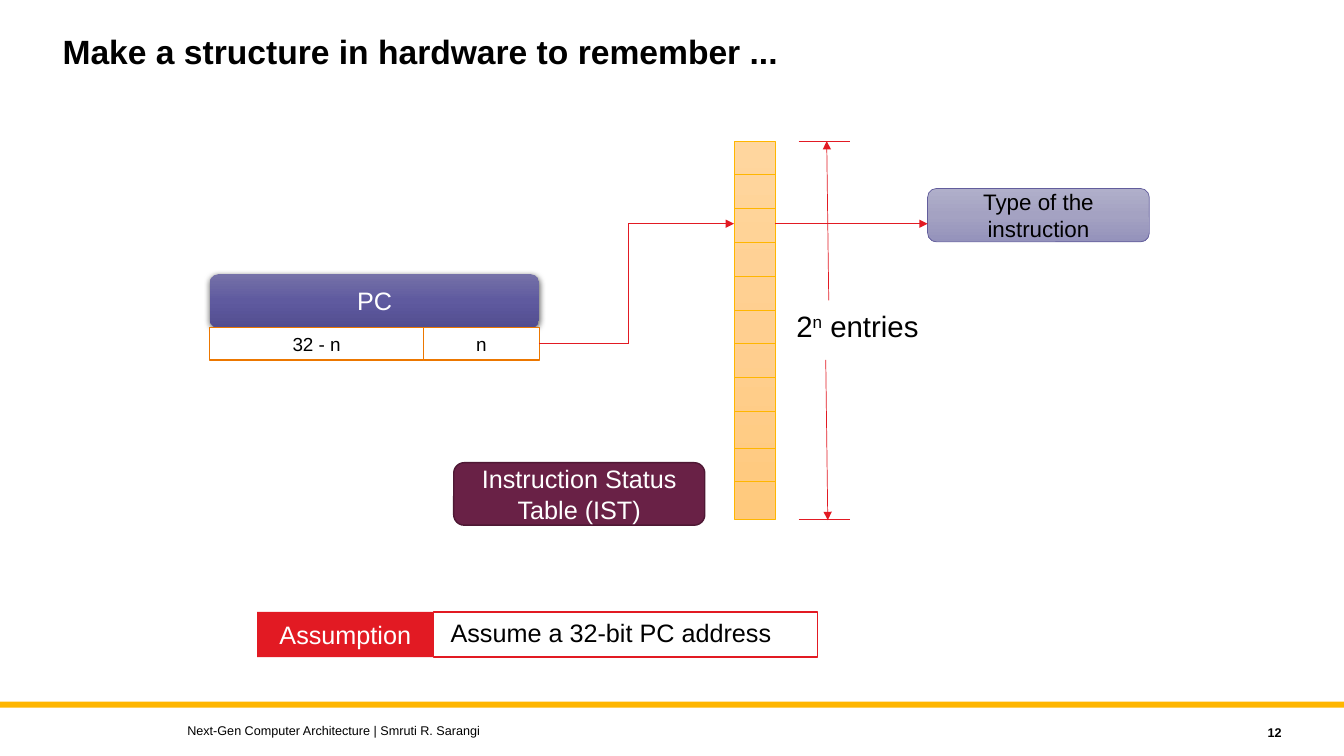
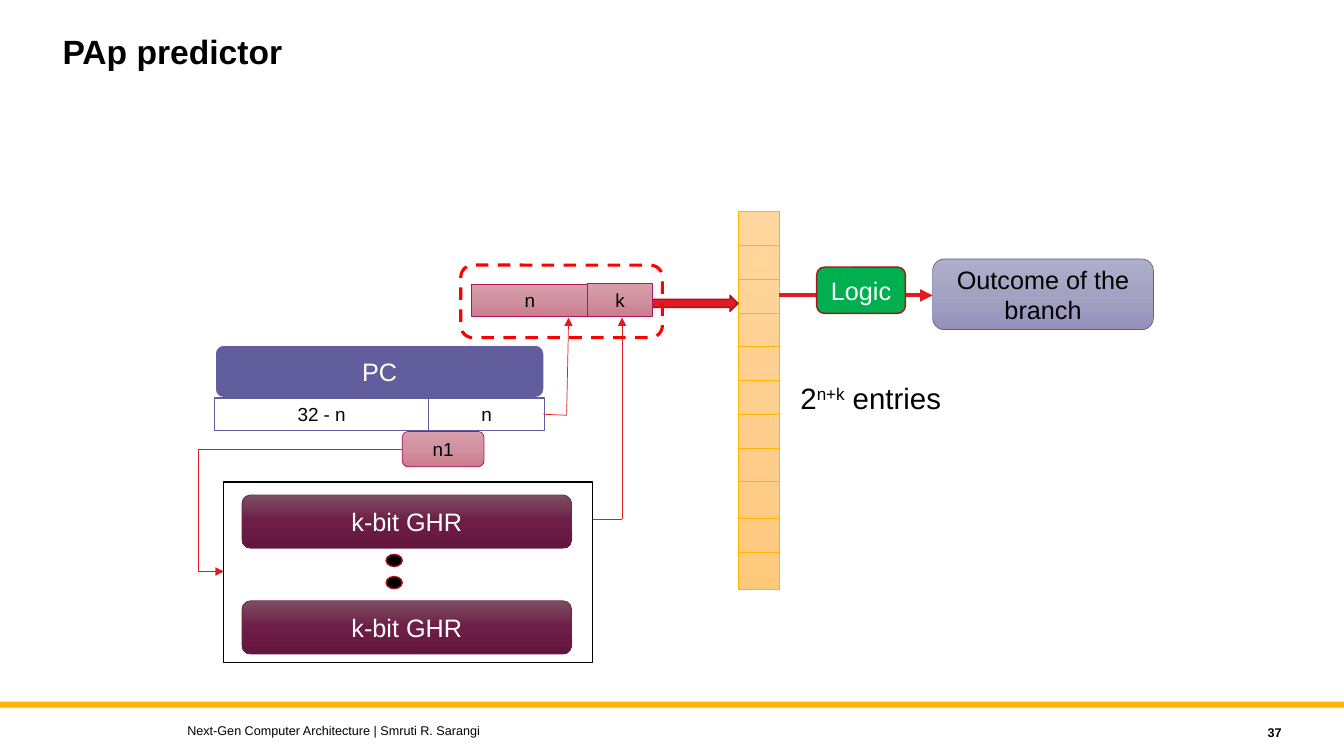
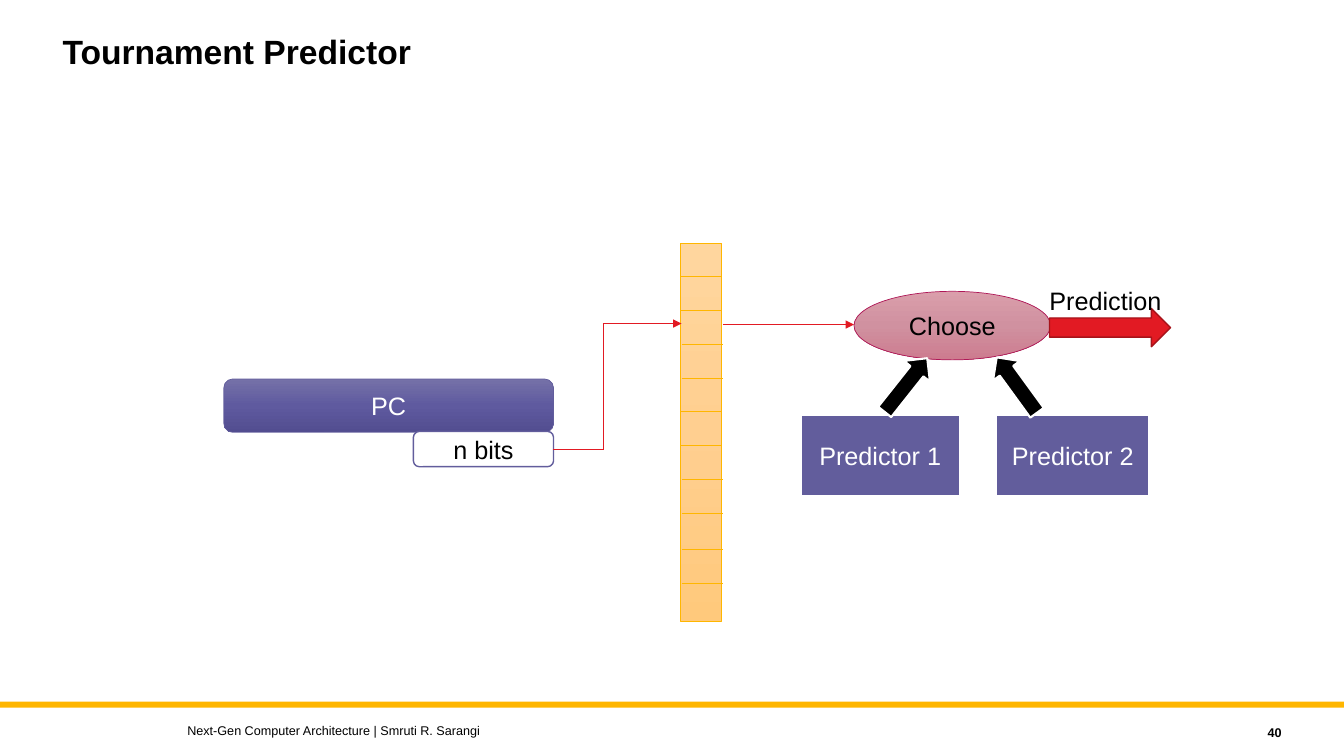
from lxml import etree
from pptx import Presentation
from pptx.dml.color import RGBColor
from pptx.enum.dml import MSO_LINE
from pptx.enum.shapes import MSO_CONNECTOR, MSO_SHAPE
from pptx.enum.text import MSO_ANCHOR, MSO_AUTO_SIZE, PP_ALIGN
from pptx.oxml.ns import qn
from pptx.util import Inches, Pt

RECT, ROUND, OVAL = MSO_SHAPE.RECTANGLE, MSO_SHAPE.ROUNDED_RECTANGLE, MSO_SHAPE.OVAL
RIGHT_ARROW, DOWN_ARROW = MSO_SHAPE.RIGHT_ARROW, MSO_SHAPE.DOWN_ARROW
STRAIGHT, ELBOW = MSO_CONNECTOR.STRAIGHT, MSO_CONNECTOR.ELBOW
TOP, MIDDLE = MSO_ANCHOR.TOP, MSO_ANCHOR.MIDDLE
LEFT, CENTER, RIGHT = PP_ALIGN.LEFT, PP_ALIGN.CENTER, PP_ALIGN.RIGHT
NO_FIT, GROW_TO_TEXT = MSO_AUTO_SIZE.NONE, MSO_AUTO_SIZE.SHAPE_TO_FIT_TEXT
DASH = MSO_LINE.DASH

COLORS = {
    "black": "000000", "white": "FFFFFF", "gold": "FFB600", "orange": "EC7700",
    "red": "E21A23", "dark red": "A7131A", "bright red": "FF0000",
    "violet": "625D9C", "plum": "692146", "dark plum": "4E1834",
    "pink": "AF1858", "green": "00B050",
}
GRADIENTS = {
    "violet shade": ("7571A8", "5F5A9F", "524D90"),
    "lilac shade": ("B0AFCA", "A4A2C2", "9492BB"),
    "amber shade": ("FFD69E", "FFCF90", "FFC97C"),
    "plum shade": ("7C4F62", "6D1D46", "64173E"),
    "pink shade": ("DA9EAB", "D091A0", "CD7C8F"),
}
# Looks shared by boxes: fill, line, line width, text colour
LOOKS = {
    "pc": {"fill": "violet shade", "color": "white"},
    "outlined pc": {"fill": "violet shade", "line": "violet", "width": 0.5, "color": "white"},
    "solid violet": {"fill": "violet", "line": "white", "width": 1.5, "color": "white"},
    "orange field": {"fill": "white", "line": "orange"},
    "violet field": {"fill": "white", "line": "violet"},
    "result": {"fill": "lilac shade", "line": "violet", "width": 0.5},
    "table": {"fill": "amber shade", "line": "gold", "width": 0.5},
    "table name": {"fill": "plum", "line": "dark plum", "color": "white"},
    "history": {"fill": "plum shade", "line": "plum", "width": 0.5, "color": "white"},
    "pink": {"fill": "pink shade", "line": "pink", "width": 0.5},
    "logic": {"fill": "green", "line": "dark red", "color": "white"},
    "dot": {"fill": "black", "line": "dark red"},
    "red arrow": {"fill": "red", "line": "dark red"},
    "black arrow": {"fill": "black", "line": "white", "width": 1.5},
    "red label": {"fill": "red", "color": "white"},
    "red frame": {"fill": "white", "line": "red"},
    "black frame": {"line": "black"},
    "dashed frame": {"line": "bright red", "width": 2.25, "dash": DASH},
    "band": {"fill": "gold"},
}
FOOTER = "Next-Gen Computer Architecture | Smruti R. Sarangi"
FIELD_SIZE = 13.5
TABLE_WIDTH, TABLE_HEIGHT = 0.41, 3.75


def rgb(name):
    return RGBColor.from_string(COLORS[name])


class Deck:
    def __init__(self):
        self.presentation = Presentation()
        self.presentation.slide_width = Inches(13.33)
        self.presentation.slide_height = Inches(7.5)
        self.slide = None

    # Slide with title, band and footer
    def new_slide(self, title, number):
        layout = self.presentation.slide_layouts[5]
        self.slide = self.presentation.slides.add_slide(layout)
        self.box(RECT, 0, 6.96, 13.33, 0.06, "band")
        heading = self.slide.shapes.title
        heading.left, heading.top = Inches(0.52), Inches(0.3)
        heading.width, heading.height = Inches(10), Inches(0.9)
        self.fill_text(heading, title, size=24, bold=True, align=LEFT, anchor=TOP)
        heading.text_frame.auto_size = NO_FIT
        heading.text_frame.paragraphs[0].line_spacing = 0.9
        self.text(1.76, 7.12, 8, 0.25, FOOTER, size=9, anchor=MIDDLE)
        self.text(11.41, 7.14, 1.4, 0.25, number, size=9, bold=True,
                  align=RIGHT, anchor=MIDDLE)

    # Text: a string, or a list of (string, is superscript) pairs
    def fill_text(self, shape, content, size=18, color="black", bold=False,
                  align=CENTER, anchor=MIDDLE, wrap=True):
        frame = shape.text_frame
        frame.word_wrap = wrap
        frame.vertical_anchor = anchor
        paragraph = frame.paragraphs[0]
        paragraph.alignment = align
        pieces = [(content, False)] if isinstance(content, str) else content
        font_format = {"name": "Arial", "size": Pt(size), "bold": bold}
        for words, raised in pieces:
            run = paragraph.add_run()
            run.text = words
            for key, value in font_format.items():
                setattr(run.font, key, value)
            run.font.color.rgb = rgb(color)
            if raised:
                run._r.get_or_add_rPr().set("baseline", "30000")

    def text(self, left, top, width, height, content, size=18, bold=False,
             align=LEFT, anchor=TOP, grow=False):
        shape = self.slide.shapes.add_textbox(
            Inches(left), Inches(top), Inches(width), Inches(height))
        self.fill_text(shape, content, size, "black", bold, align, anchor, wrap=not grow)
        if grow:
            shape.text_frame.auto_size = GROW_TO_TEXT

    # Preset shape in one of the shared looks
    def box(self, kind, left, top, width, height, look, content=None, size=18, rotation=0):
        style = LOOKS[look]
        shape = self.slide.shapes.add_shape(
            kind, Inches(left), Inches(top), Inches(width), Inches(height))
        shape.shadow.inherit = False
        shape.rotation = rotation
        fill = style.get("fill")
        if fill in GRADIENTS:
            self.shade(shape, GRADIENTS[fill])
        elif fill:
            shape.fill.solid()
            shape.fill.fore_color.rgb = rgb(fill)
        else:
            shape.fill.background()
        if "line" in style:
            shape.line.color.rgb = rgb(style["line"])
            shape.line.width = Pt(style.get("width", 1))
            if "dash" in style:
                shape.line.dash_style = style["dash"]
        else:
            shape.line.fill.background()
        if content:
            self.fill_text(shape, content, size, style.get("color", "black"))
        return shape

    def shade(self, shape, colors):
        shape.fill.gradient()
        shape.fill.gradient_angle = 270
        stops = shape._element.spPr.find(qn("a:gradFill")).find(qn("a:gsLst"))
        for stop in list(stops):
            stops.remove(stop)
        for index, color in enumerate(colors):
            stop = etree.SubElement(stops, qn("a:gs"), pos=str(index * 50000))
            etree.SubElement(stop, qn("a:srgbClr"), val=color)

    def soft_shadow(self, shape):
        effects = shape._element.spPr.find(qn("a:effectLst"))
        shadow = etree.SubElement(effects, qn("a:outerShdw"), blurRad=str(Pt(4.5)),
                                  dist=str(Pt(1.5)), dir="5400000", rotWithShape="0")
        color = etree.SubElement(shadow, qn("a:srgbClr"), val=COLORS["black"])
        etree.SubElement(color, qn("a:alpha"), val="63000")

    # Lines and arrows
    def line(self, start, end, color="red", width=0.5, arrow=False, kind=STRAIGHT, bend=None):
        connector = self.slide.shapes.add_connector(
            kind, *(Inches(value) for value in (*start, *end)))
        connector.line.color.rgb = rgb(color)
        connector.line.width = Pt(width)
        properties = connector._element.spPr
        if arrow:
            etree.SubElement(properties.find(qn("a:ln")), qn("a:tailEnd"), type="triangle")
        if bend is not None:
            geometry = properties.find(qn("a:prstGeom"))
            guides = geometry.find(qn("a:avLst"))
            if guides is None:
                guides = etree.SubElement(geometry, qn("a:avLst"))
            etree.SubElement(guides, qn("a:gd"), name="adj1",
                             fmla=f"val {round(bend * 100000)}")
        etree.SubElement(properties, qn("a:effectLst"))

    def route(self, *points):
        last = len(points) - 1
        for index in range(last):
            self.line(points[index], points[index + 1], arrow=index == last - 1)

    # Tall table of entries; the rows after the eighth sit slightly lower
    def entry_table(self, left, top):
        self.box(RECT, left, top, TABLE_WIDTH, TABLE_HEIGHT, "table")
        for row in range(1, 11):
            y = top + row * 0.335 + (0.03 if row > 8 else 0)
            x = left + (0 if row in (1, 2, 5, 6) else 0.01)
            self.line((x, y), (x + TABLE_WIDTH, y), "gold")

    # Program counter with its two bit fields
    def counter(self, left, top, look, field_look):
        shape = self.box(ROUND, left, top, 3.27, 0.53, look, "PC")
        self.box(RECT, left, top + 0.53, 2.12, 0.32, field_look, "32 - n", FIELD_SIZE)
        self.box(RECT, left + 2.12, top + 0.53, 1.15, 0.32, field_look, "n", FIELD_SIZE)
        return shape


def status_table_slide(deck):
    deck.new_slide("Make a structure in hardware to remember ...", "12")
    deck.soft_shadow(deck.counter(2.08, 2.72, "pc", "orange field"))
    deck.entry_table(7.28, 1.4)
    deck.box(ROUND, 4.5, 4.59, 2.49, 0.62, "table name", "Instruction Status Table (IST)")
    # Lookup and result
    deck.route((5.35, 3.41), (6.23, 3.41), (6.23, 2.22), (7.28, 2.22))
    deck.box(ROUND, 9.2, 1.87, 2.2, 0.53, "result", "Type of the instruction", 16)
    deck.route((7.69, 2.22), (9.2, 2.22))
    # Height of the table
    for y in (1.4, 5.15):
        deck.line((7.92, y), (8.43, y))
    deck.route((8.22, 2.98), (8.2, 1.4))
    deck.route((8.19, 3.57), (8.21, 5.16))
    deck.text(7.8, 3.01, 1.44, 0.45, [("2", False), ("n", True), (" entries", False)],
              21, grow=True)
    # Assumption
    deck.box(RECT, 4.3, 6.07, 3.81, 0.45, "red frame")
    deck.text(4.37, 6.08, 3.41, 0.4, "Assume a 32-bit PC address", grow=True)
    deck.box(RECT, 2.55, 6.07, 1.75, 0.45, "red label", "Assumption")


def pap_slide(deck):
    deck.new_slide("PAp predictor", "37")
    deck.counter(2.13, 3.42, "solid violet", "violet field")
    deck.entry_table(7.32, 2.1)
    deck.text(7.84, 3.72, 1.65, 0.45, [("2", False), ("n+k", True), (" entries", False)],
              21, grow=True)
    # Outcome
    deck.box(ROUND, 9.25, 2.57, 2.19, 0.7, "result", "Outcome of the branch")
    deck.line((7.73, 2.93), (9.25, 2.93), width=3, arrow=True)
    deck.box(ROUND, 8.1, 2.65, 0.88, 0.46, "logic", "Logic")
    # History registers
    for top in (4.91, 5.96):
        deck.box(ROUND, 2.4, top, 3.27, 0.53, "history", "k-bit GHR")
    for top in (5.5, 5.72):
        deck.box(OVAL, 3.83, top, 0.16, 0.12, "dot")
    deck.box(RECT, 2.22, 4.78, 3.66, 1.79, "black frame")
    deck.box(ROUND, 3.99, 4.28, 0.81, 0.35, "pink", "n1", FIELD_SIZE)
    deck.line((3.99, 4.46), (2.22, 5.67), arrow=True, kind=ELBOW, bend=1.14)
    # Combined index
    deck.route((5.39, 4.11), (5.62, 4.12), (5.64, 3.15))
    deck.route((5.88, 5.15), (6.17, 5.15), (6.17, 3.15))
    deck.box(RIGHT_ARROW, 6.3, 2.93, 1.02, 0.16, "red arrow")
    deck.box(RECT, 4.68, 2.82, 1.15, 0.32, "pink", "n", FIELD_SIZE)
    deck.box(RECT, 5.83, 2.81, 0.64, 0.33, "pink", "k", FIELD_SIZE)
    deck.box(ROUND, 4.57, 2.63, 2, 0.72, "dashed frame")


def tournament_slide(deck):
    deck.new_slide("Tournament Predictor", "40")
    deck.box(ROUND, 2.22, 3.76, 3.27, 0.53, "outlined pc", "PC")
    deck.box(ROUND, 4.1, 4.28, 1.39, 0.35, "violet field", "n bits")
    deck.entry_table(6.75, 2.41)
    # Lookup and choice
    deck.route((5.48, 4.46), (5.98, 4.46), (5.98, 3.21), (6.76, 3.21))
    deck.route((7.17, 3.22), (8.47, 3.22))
    deck.box(OVAL, 8.47, 2.89, 1.95, 0.68, "pink", "Choose")
    # Competing predictors
    for number, left, width, arrow_left, angle in (
            (1, 7.94, 1.58, 8.82, 218.4), (2, 9.88, 1.52, 9.92, 144)):
        deck.box(RECT, left, 4.12, width, 0.8, "solid violet", f"Predictor {number}")
        deck.box(DOWN_ARROW, arrow_left, 3.48, 0.33, 0.68, "black arrow", rotation=angle)
    deck.box(RIGHT_ARROW, 10.41, 3.06, 1.2, 0.38, "red arrow")
    deck.text(10.31, 2.78, 1.32, 0.4, "Prediction", grow=True)


def main():
    deck = Deck()
    status_table_slide(deck)
    pap_slide(deck)
    tournament_slide(deck)
    deck.presentation.save("out.pptx")


if __name__ == "__main__":
    main()
